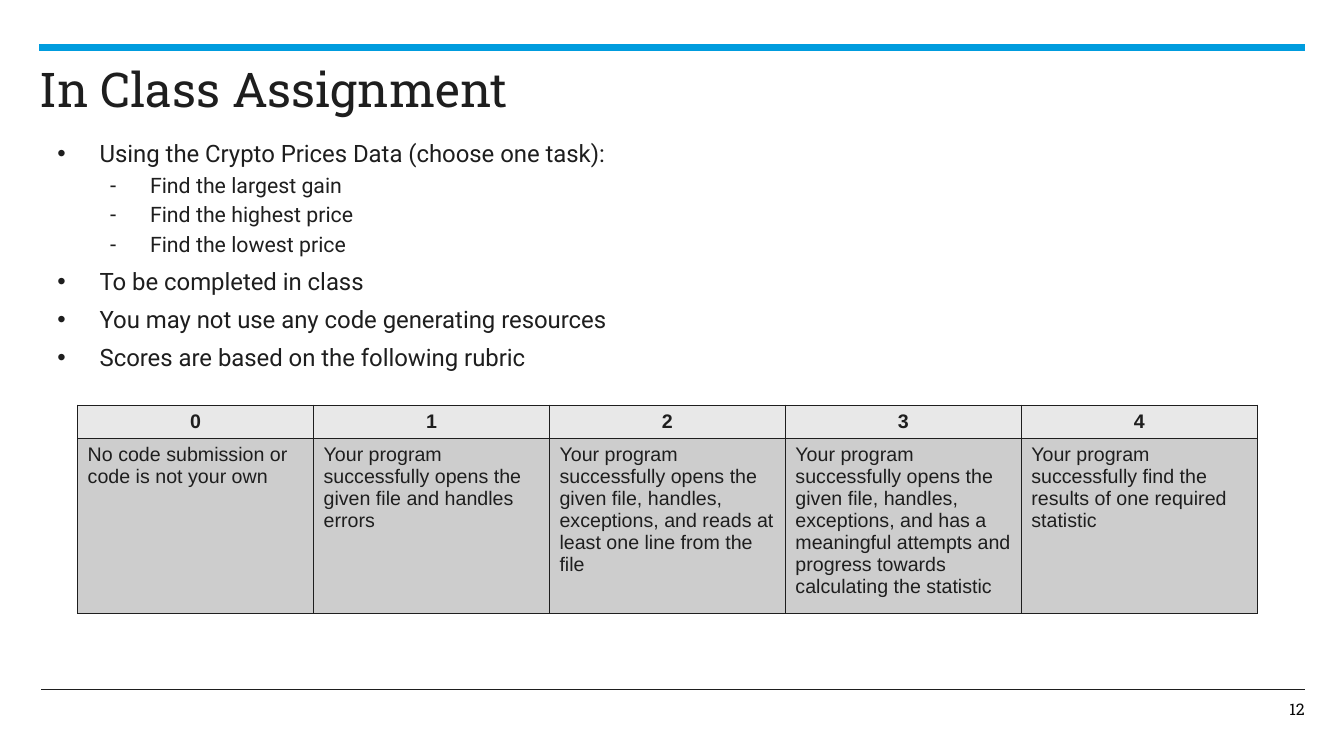
from lxml import etree
from pptx import Presentation
from pptx.dml.color import RGBColor
from pptx.enum.shapes import MSO_CONNECTOR
from pptx.enum.text import MSO_ANCHOR, PP_ALIGN
from pptx.oxml.ns import qn
from pptx.util import Inches, Pt

COLORS = {
    "ink": "1E1E1E",
    "accent": "009CDE",
    "number": "080808",
    "header": "E8E8E8",
    "body": "CDCDCD",
}

# Bullet character, left indent, hanging indent, space before, text size
LEVELS = [("•", 0.5, 0.42, 6.8, 17.1), ("-", 1, 0.4, 3, 15.2)]

TASKS = [
    (0, "Using the Crypto Prices Data (choose one task):"),
    (1, "Find the largest gain"),
    (1, "Find the highest price"),
    (1, "Find the lowest price"),
    (0, "To be completed in class"),
    (0, "You may not use any code generating resources"),
    (0, "Scores are based on the following rubric"),
]

RUBRIC = [
    "No code submission or code is not your own",
    "Your program successfully opens the given file and handles errors",
    "Your program successfully opens the given file, handles, exceptions, "
    "and reads at least one line from the file",
    "Your program successfully opens the given file, handles, exceptions, "
    "and has a meaningful attempts and progress towards calculating the statistic",
    "Your program successfully find the results of one required statistic",
]


def rgb(name):
    return RGBColor.from_string(COLORS[name])


def format_runs(paragraph, size, font, color="ink", bold=False):
    for run in paragraph.runs:
        run.font.size = Pt(size)
        run.font.name = font
        run.font.bold = bold
        run.font.color.rgb = rgb(color)


def add_rule(slide, left, top, right, color, width):
    line = slide.shapes.add_connector(
        MSO_CONNECTOR.STRAIGHT, Inches(left), Inches(top), Inches(right), Inches(top))
    line.line.color.rgb = rgb(color)
    line.line.width = Pt(width)
    etree.SubElement(line._element.spPr, qn("a:effectLst"))


def add_text_frame(slide, left, top, width, height, margins=(0, 0, 0, 0)):
    box = slide.shapes.add_textbox(
        Inches(left), Inches(top), Inches(width), Inches(height))
    frame = box.text_frame
    frame.word_wrap = True
    (frame.margin_left, frame.margin_top,
     frame.margin_right, frame.margin_bottom) = map(Inches, margins)
    return frame


def add_label(slide, box, text, size, color, align=PP_ALIGN.LEFT,
              anchor=MSO_ANCHOR.TOP):
    frame = add_text_frame(slide, *box)
    frame.vertical_anchor = anchor
    frame.text = text
    frame.paragraphs[0].alignment = align
    format_runs(frame.paragraphs[0], size, "Roboto Slab", color)


def set_bullet(paragraph, character, left, hanging):
    properties = paragraph._p.get_or_add_pPr()
    properties.set("marL", str(Inches(left)))
    properties.set("indent", str(-Inches(hanging)))
    bullet_color = etree.SubElement(properties, qn("a:buClr"))
    etree.SubElement(bullet_color, qn("a:srgbClr"), val=COLORS["ink"])
    etree.SubElement(properties, qn("a:buFont"), typeface="Arial")
    etree.SubElement(properties, qn("a:buChar"), char=character)


def add_bullets(slide, box, items):
    frame = add_text_frame(slide, *box, margins=(0.1, 0.05, 0.1, 0.05))
    frame.text = "\n".join(text for _, text in items)
    for paragraph, (level, _) in zip(frame.paragraphs, items):
        character, left, hanging, space, size = LEVELS[level]
        paragraph.level = level
        paragraph.space_before = Pt(space)
        set_bullet(paragraph, character, left, hanging)
        format_runs(paragraph, size, "Roboto")


def set_borders(cell):
    properties = cell._tc.get_or_add_tcPr()
    for position, side in enumerate(("a:lnL", "a:lnR", "a:lnT", "a:lnB")):
        border = etree.Element(qn(side), w=str(Pt(1)))
        fill = etree.SubElement(border, qn("a:solidFill"))
        etree.SubElement(fill, qn("a:srgbClr"), val=COLORS["ink"])
        properties.insert(position, border)


def add_rubric(slide, left, top, column_width, row_heights, descriptions):
    columns = len(descriptions)
    table = slide.shapes.add_table(
        2, columns, Inches(left), Inches(top),
        Inches(column_width * columns), Inches(sum(row_heights))).table
    for column in table.columns:
        column.width = Inches(column_width)
    for row, height in zip(table.rows, row_heights):
        row.height = Inches(height)

    for score, description in enumerate(descriptions):
        for row, text in enumerate((str(score), description)):
            is_header = row == 0
            cell = table.cell(row, score)
            cell.text = text
            cell.fill.solid()
            cell.fill.fore_color.rgb = rgb("header" if is_header else "body")
            paragraph = cell.text_frame.paragraphs[0]
            paragraph.alignment = PP_ALIGN.CENTER if is_header else PP_ALIGN.LEFT
            format_runs(paragraph, 14, "Arial", bold=is_header)
            set_borders(cell)


def main():
    presentation = Presentation()
    presentation.slide_width = Inches(13.33)
    presentation.slide_height = Inches(7.5)
    slide = presentation.slides.add_slide(presentation.slide_layouts[6])

    # Page frame
    add_label(slide, (12.43, 6.96, 0.51, 0.16), "12", 11.4, "number",
              PP_ALIGN.RIGHT, MSO_ANCHOR.MIDDLE)
    add_rule(slide, 0.39, 0.47, 12.94, "accent", 5.25)
    add_rule(slide, 0.41, 6.84, 12.94, "ink", 0.75)

    # Title and tasks
    add_label(slide, (0.39, 0.59, 12.34, 0.45), "In Class Assignment", 34.2, "ink")
    add_bullets(slide, (0.39, 1.33, 12.36, 4.81), TASKS)

    # Scoring rubric
    add_rubric(slide, 0.77, 4.02, 2.34, (0.33, 1.64), RUBRIC)

    presentation.save("out.pptx")


if __name__ == "__main__":
    main()
